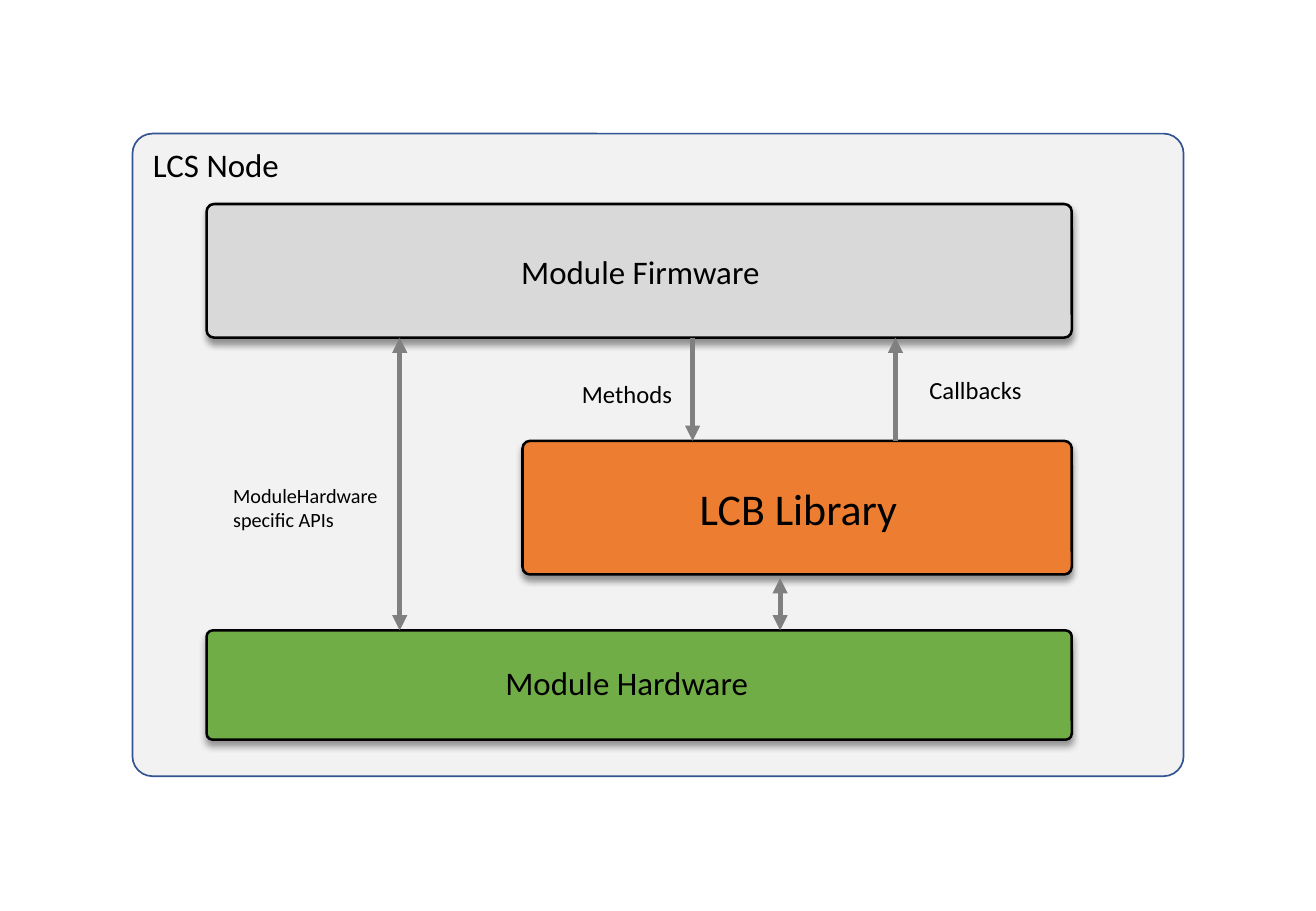
"""Block diagram of an LCS node: firmware, library and hardware layers."""
from pptx import Presentation
from pptx.dml.color import RGBColor
from pptx.enum.shapes import MSO_CONNECTOR, MSO_SHAPE
from pptx.enum.text import MSO_ANCHOR, MSO_AUTO_SIZE
from pptx.oxml import parse_xml
from pptx.oxml.ns import nsdecls, qn
from pptx.util import Emu, Pt

ROUNDED = MSO_SHAPE.ROUNDED_RECTANGLE
STRAIGHT = MSO_CONNECTOR.STRAIGHT
TOP = MSO_ANCHOR.TOP
FIT = MSO_AUTO_SIZE.SHAPE_TO_FIT_TEXT

PX = 9144
FONT = "Calibri"
BLACK = "000000"
PANEL, PANEL_EDGE = "F2F2F2", "325491"
GREY, GREEN, ORANGE, ARROW = "D9D9D9", "70AD47", "ED7D31", "808080"
SHADOW = (
    f'<a:outerShdw {nsdecls("a")} blurRad="50800" dist="38100" dir="5400000" '
    'algn="t" rotWithShape="0"><a:srgbClr val="000000"><a:alpha val="40000"/>'
    "</a:srgbClr></a:outerShdw>"
)


def px(n):
    return Emu(n * PX)


def rgb(value):
    return RGBColor.from_string(value)


def write(tf, text, size=19.5, color=BLACK, wrap=False):
    tf.word_wrap = wrap
    tf.auto_size = FIT
    tf.vertical_anchor = TOP
    r = tf.paragraphs[0].add_run()
    r.text = text
    r.font.name = FONT
    r.font.size = Pt(size)
    r.font.color.rgb = rgb(color)


class Diagram:
    """Draws styled diagram elements on one slide."""

    def __init__(self, slide):
        self.shapes = slide.shapes

    def box(self, x, y, w, h, fill, line=BLACK, weight=1.5, corner=0.056, shadow=True):
        sp = self.shapes.add_shape(ROUNDED, px(x), px(y), px(w), px(h))
        sp.adjustments[0] = corner
        sp.fill.solid()
        sp.fill.fore_color.rgb = rgb(fill)
        sp.line.color.rgb = rgb(line)
        sp.line.width = Pt(weight)
        sp.shadow.inherit = False
        if shadow:
            effects = sp._element.spPr.find(qn("a:effectLst"))
            effects.append(parse_xml(SHADOW))

    def label(self, x, y, w, h, text, **fmt):
        sp = self.shapes.add_textbox(px(x), px(y), px(w), px(h))
        write(sp.text_frame, text, **fmt)

    def arrow(self, x, y1, y2, ends=("tailEnd",)):
        cn = self.shapes.add_connector(STRAIGHT, px(x), px(y1), px(x), px(y2))
        cn.line.color.rgb = rgb(ARROW)
        cn.line.width = Pt(3)
        ln = cn.line._get_or_add_ln()
        for end in ends:
            ln.append(parse_xml(f'<a:{end} {nsdecls("a")} type="triangle"/>'))
        cn._element.spPr.append(parse_xml(f'<a:effectLst {nsdecls("a")}/>'))


def main():
    prs = Presentation()
    prs.slide_width, prs.slide_height = px(1083), px(750)
    d = Diagram(prs.slides.add_slide(prs.slide_layouts[6]))

    left, width = 170, 712
    firmware_bottom, library_top, hardware_top = 278, 363, 519
    both = ("headEnd", "tailEnd")

    d.box(109, 110, 865, 529, PANEL, line=PANEL_EDGE, weight=1, corner=0.031, shadow=False)
    d.label(116, 114, 257, 43, "LCS Node", wrap=True)

    d.box(left, 168, width, 110, GREY)
    d.label(419, 202, 218, 43, "Module Firmware")
    d.box(left, hardware_top, width, 90, GREEN)
    d.label(406, 541, 222, 43, "Module Hardware")
    d.box(430, library_top, 452, 110, ORANGE)
    d.label(566, 392, 184, 54, "LCB Library", size=26)

    d.arrow(570, firmware_bottom, library_top)
    d.arrow(737, library_top, firmware_bottom)
    d.arrow(329, firmware_bottom, hardware_top, ends=both)
    d.arrow(642, 476, hardware_top, ends=both)

    d.label(469, 307, 95, 35, "Methods", size=14.6)
    d.label(755, 304, 97, 35, "Callbacks", size=14.6)
    d.label(182, 393, 168, 50, "ModuleHardware specific APIs", size=12, wrap=True)

    prs.save("out.pptx")


if __name__ == "__main__":
    main()
